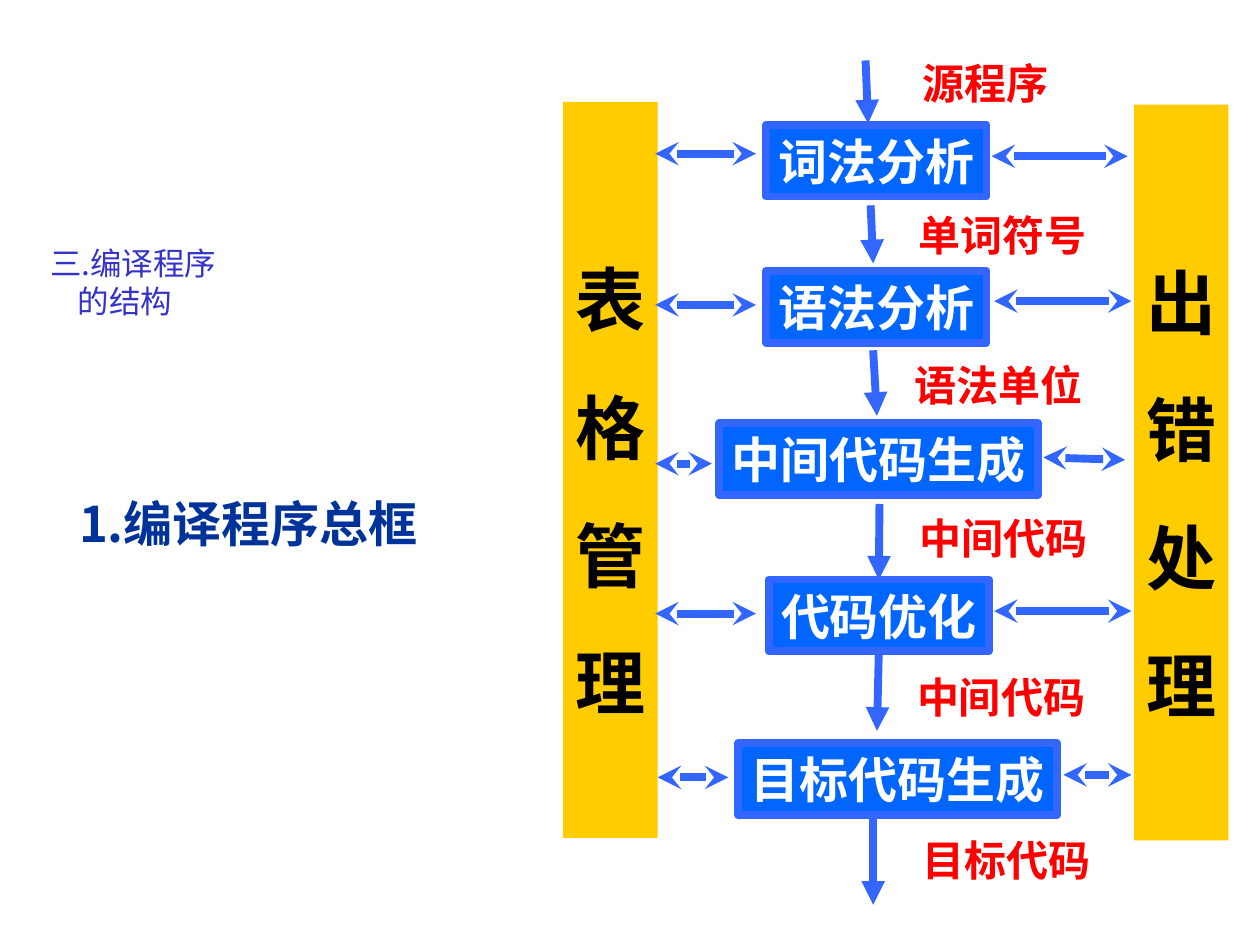
from dataclasses import dataclass
from typing import NamedTuple, Optional

from lxml import etree
from pptx import Presentation, util as u
from pptx.dml.color import RGBColor
from pptx.enum import shapes as sh, text as tx
from pptx.oxml import ns


@dataclass(frozen=True)
class Theme:
    font: str = "Noto Sans CJK SC"
    head: str = "3333CC"
    title: str = "003399"
    bar: str = "FFCC00"
    ink: str = "000000"
    box: str = "0066FF"
    line: str = "3366FF"
    light: str = "FFFFFF"
    label: str = "FF0000"
    small: int = 18
    mid: int = 24
    large: int = 28
    huge: int = 40
    width: float = 4.5


class Area(NamedTuple):
    x: float
    y: float
    w: float
    h: float


class Bar(NamedTuple):
    text: str
    x: float
    y: float


class Stage(NamedTuple):
    text: str
    x: float
    y: float
    w: float
    left: tuple
    right: tuple


class Label(NamedTuple):
    text: str
    x: float
    y: float
    w: float = 1.53


class Flow(NamedTuple):
    start: tuple
    end: tuple
    source: Optional[int] = None
    target: Optional[int] = None


T = Theme()
BARS = [Bar("表格管理", 4.47, 0.81), Bar("出错处理", 9, 0.83)]
STAGES = [
    Stage("词法分析", 6.08, 0.99, 1.75, (6, 1.22, 5.2, 1.22), (8.95, 1.24, 7.87, 1.24)),
    Stage("语法分析", 6.08, 2.15, 1.75, (6, 2.42, 5.2, 2.42), (8.98, 2.39, 7.89, 2.39)),
    Stage("中间代码生成", 5.71, 3.36, 2.53, (5.65, 3.68, 5.2, 3.68), (8.93, 3.65, 8.28, 3.63)),
    Stage("代码优化", 6.1, 4.6, 1.75, (6, 4.87, 5.2, 4.87), (8.98, 4.85, 7.89, 4.85)),
    Stage("目标代码生成", 5.86, 5.9, 2.53, (5.78, 6.17, 5.22, 6.17), (8.98, 6.15, 8.44, 6.15)),
]
LABELS = [
    Label("源程序", 7.22, 0.41, 1.2),
    Label("单词符号", 7.19, 1.61),
    Label("语法单位", 7.16, 2.8),
    Label("中间代码", 7.2, 4.02),
    Label("中间代码", 7.18, 5.28),
    Label("目标代码", 7.22, 6.57),
]
FLOWS = [
    Flow((6.87, 0.48), (6.89, 0.98)),
    Flow((6.91, 1.63), (6.93, 2.09)),
    Flow((6.93, 2.78), (6.96, 3.3)),
    Flow((6.98, 4), (6.96, 4.57), target=3),
    Flow((6.98, 5.2), (6.96, 5.8), source=3),
    Flow((6.93, 6.5), (6.93, 7.18)),
]


def rgb(code: str) -> RGBColor:
    return RGBColor.from_string(code)


def write(shape, text: str, size: int, color: str, bold: bool = True,
          center: bool = True, wrap: bool = False, gap: float = 0) -> None:
    frame = shape.text_frame
    frame.text = text
    frame.word_wrap = wrap
    frame.vertical_anchor = tx.MSO_ANCHOR.MIDDLE if center else tx.MSO_ANCHOR.TOP
    for i, para in enumerate(frame.paragraphs):
        para.alignment = tx.PP_ALIGN.CENTER if center else tx.PP_ALIGN.LEFT
        if i and gap:
            para.space_before = u.Pt(gap)
        for run in para.runs:
            font = run.font
            font.name, font.size, font.bold = T.font, u.Pt(size), bold
            font.color.rgb = rgb(color)
            east = etree.SubElement(run._r.get_or_add_rPr(), ns.qn("a:ea"))
            east.set("typeface", T.font)


def note(slide, area: Area):
    return slide.shapes.add_textbox(*map(u.Inches, area))


def rect(slide, area: Area, fill: str, line: Optional[str] = None):
    shape = slide.shapes.add_shape(sh.MSO_SHAPE.RECTANGLE, *map(u.Inches, area))
    shape.shadow.inherit = False
    shape.fill.solid()
    shape.fill.fore_color.rgb = rgb(fill)
    if line:
        shape.line.color.rgb = rgb(line)
        shape.line.width = u.Pt(T.width)
    else:
        shape.line.fill.background()
    return shape


def arrow(slide, ends: tuple, **tips: str):
    link = slide.shapes.add_connector(sh.MSO_CONNECTOR.STRAIGHT, *map(u.Inches, ends))
    link.line.color.rgb = rgb(T.line)
    link.line.width = u.Pt(T.width)
    edge = link.line._get_or_add_ln()
    for end, kind in tips.items():
        etree.SubElement(edge, ns.qn(f"a:{end}End")).set("type", kind)
    etree.SubElement(link._element.spPr, ns.qn("a:effectLst"))
    return link


def main() -> None:
    deck = Presentation()
    deck.slide_width, deck.slide_height = u.Inches(10), u.Inches(7.5)
    slide = deck.slides.add_slide(deck.slide_layouts[6])

    head = note(slide, Area(0.3, 1.89, 3.51, 1.27))
    write(head, "三.编译程序\n的结构", T.small, T.head, bold=False, center=False)
    props = head.text_frame.paragraphs[1]._p.get_or_add_pPr()
    props.set("marL", str(u.Inches(0.22)))
    title = note(slide, Area(0.53, 3.87, 3.05, 0.57))
    write(title, "1.编译程序总框", T.large, T.title, center=False, wrap=True)

    for bar in BARS:
        shape = rect(slide, Area(bar.x, bar.y, 0.75, 5.84), T.bar)
        write(shape, "\n".join(bar.text), T.huge, T.ink, gap=25)
        shape.text_frame.margin_top = u.Inches(0.37)

    boxes = []
    for stage in STAGES:
        box = rect(slide, Area(stage.x, stage.y, stage.w, 0.57), T.box, T.line)
        write(box, stage.text, T.large, T.light)
        boxes.append(box)
        for ends in (stage.left, stage.right):
            arrow(slide, ends, head="stealth", tail="stealth")

    for label in LABELS:
        shape = note(slide, Area(label.x, label.y, label.w, 0.5))
        write(shape, label.text, T.mid, T.label)

    for flow in FLOWS:
        link = arrow(slide, flow.start + flow.end, tail="triangle")
        if flow.source is not None:
            link.begin_connect(boxes[flow.source], 2)
        if flow.target is not None:
            link.end_connect(boxes[flow.target], 0)

    deck.save("out.pptx")


if __name__ == "__main__":
    main()
